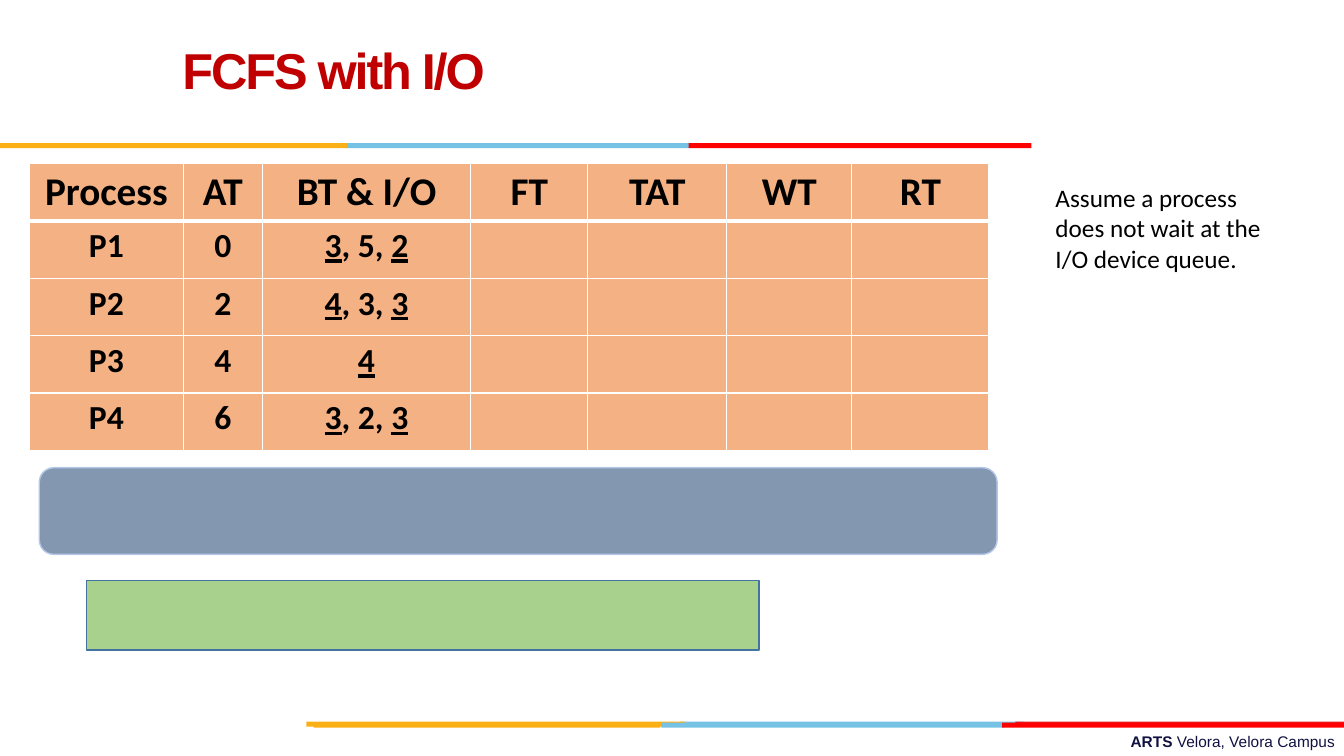
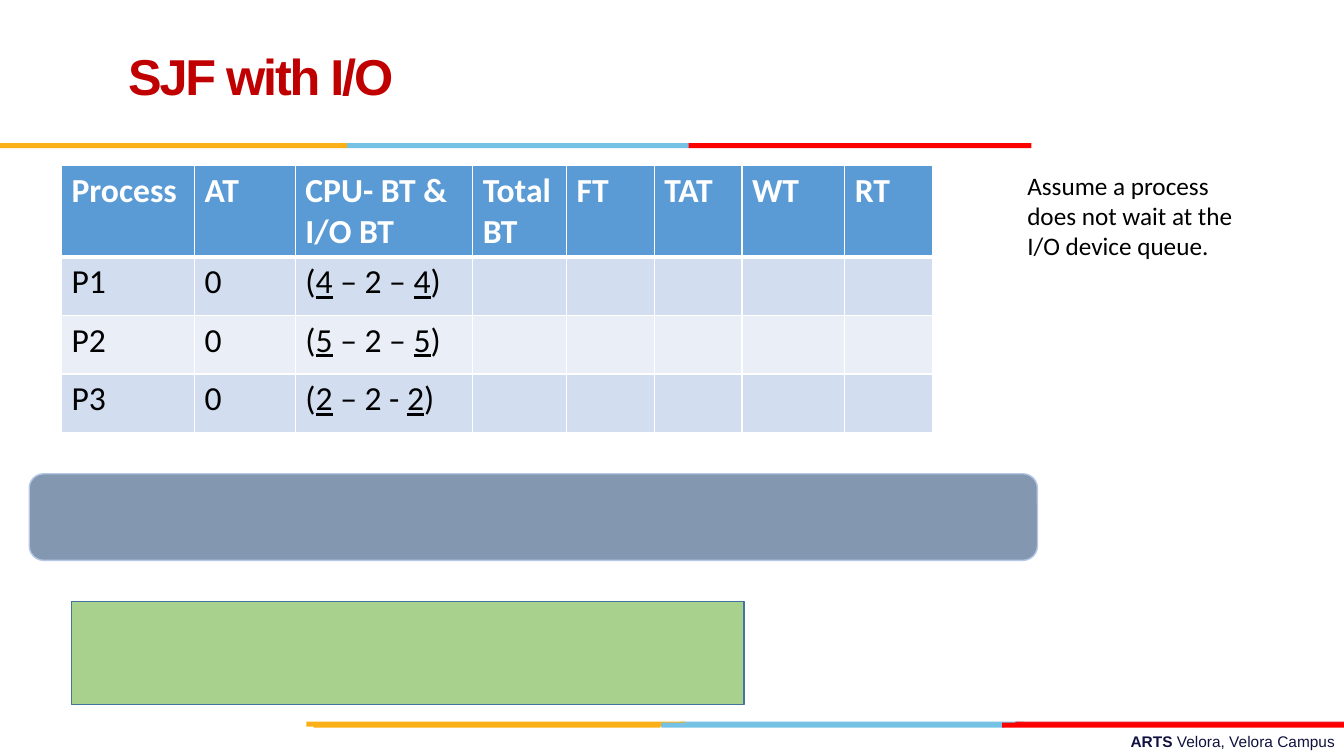
from lxml.etree import SubElement
from pptx import Presentation
from pptx.dml.color import RGBColor
from pptx.enum.shapes import MSO_SHAPE
from pptx.enum.text import MSO_ANCHOR, MSO_AUTO_SIZE, PP_ALIGN
from pptx.oxml.ns import qn
from pptx.util import Inches, Pt

WHITE = RGBColor(0xFF, 0xFF, 0xFF)
BLACK = RGBColor(0x00, 0x00, 0x00)
NAVY = RGBColor(0x10, 0x11, 0x41)
TITLE_RED = RGBColor(0xC0, 0x00, 0x00)
SKY = RGBColor(0x76, 0xC2, 0xE5)
AMBER = RGBColor(0xFC, 0xB0, 0x17)
CRIMSON = RGBColor(0xE3, 0x1C, 0x24)
RED = RGBColor(0xFF, 0x00, 0x00)
PEACH = RGBColor(0xF4, 0xB1, 0x83)
BLUE = RGBColor(0x5B, 0x9B, 0xD5)
PALE_BLUE = RGBColor(0xD2, 0xDE, 0xEF)
PALER_BLUE = RGBColor(0xEA, 0xEF, 0xF7)
GREEN = RGBColor(0xA9, 0xD1, 0x8E)
GREEN_EDGE = RGBColor(0x43, 0x73, 0x9E)
SLATE = RGBColor(0x84, 0x97, 0xB0)
SLATE_EDGE = RGBColor(0xB4, 0xC7, 0xE7)

BAND_HEIGHT = 0.05
BANDS = [  # left, top, width, colour
    (6.75, 7.16, 3.4, SKY), (10.07, 7.16, 3.26, CRIMSON), (3.04, 7.16, 3.76, AMBER),
    (6.56, 7.17, 3.4, SKY), (3.11, 7.17, 3.44, AMBER), (9.94, 7.17, 3.4, RED),
    (3.44, 1.42, 3.4, SKY), (0, 1.42, 3.44, AMBER), (6.83, 1.42, 3.4, RED),
]
FOOTER = [("ARTS ", True), ("Velora, Velora Campus", False)]
NOTE = "Assume a process does not wait at the I/O device queue."

# Underscores in a cell enclose underlined text.
LESSONS = [
    {
        "title": "FCFS with I/O", "title_at": (1.71, 0.27, 6.92, 0.94),
        "table_at": (0.29, 1.62),
        "columns": [1.53, 0.78, 2.07, 1.16, 1.38, 1.24, 1.36],
        "heights": [0.57] * 5,
        "rows": [["Process", "AT", "BT & I/O", "FT", "TAT", "WT", "RT"],
                 ["P1", "0", "_3_, 5, _2_"],
                 ["P2", "2", "_4_, 3, _3_"],
                 ["P3", "4", "_4_"],
                 ["P4", "6", "_3_, 2, _3_"]],
        "align": PP_ALIGN.CENTER, "header_size": 28, "header_colour": BLACK,
        "body_bold": True, "fills": [PEACH] * 5,
        "green_at": (0.86, 5.76, 6.67, 0.69), "slate_at": (0.39, 4.64, 9.5, 0.86),
        "note_at": (10.37, 1.76, 2.48, 1.01),
    },
    {
        "title": "SJF with I/O", "title_at": (1.17, 0.17, 7.75, 1.25),
        "table_at": (0.61, 1.64),
        "columns": [1.32, 1, 1.76, 0.93, 0.87, 0.87, 1.02, 0.87],
        "heights": [0.91, 0.58, 0.58, 0.58],
        "rows": [["Process", "AT", "CPU- BT & I/O BT", "Total BT", "FT", "TAT", "WT", "RT"],
                 ["P1", "0", "(_4_ – 2 – _4_)"],
                 ["P2", "0", "(_5_ – 2 – _5_)"],
                 ["P3", "0", "(_2_ – 2 - _2_)"]],
        "align": PP_ALIGN.LEFT, "header_size": 24, "header_colour": WHITE,
        "body_bold": False, "fills": [BLUE, PALE_BLUE, PALER_BLUE, PALE_BLUE],
        "green_at": (0.71, 5.97, 6.67, 1.02), "slate_at": (0.29, 4.7, 10, 0.86),
        "note_at": (10.09, 1.64, 2.48, 1.01),
    },
]


def add_panel(page, kind, place, fill, edge=None):
    """Add a flat filled shape, with a thin outline if an edge colour is given."""
    panel = page.shapes.add_shape(kind, *map(Inches, place))
    panel.shadow.inherit = False
    panel.fill.solid()
    panel.fill.fore_color.rgb = fill
    if edge is None:
        panel.line.fill.background()
    else:
        panel.line.color.rgb = edge
        panel.line.width = Pt(1)


def add_borders(cell, row_number):
    """Draw white cell borders, thicker below the header row."""
    properties = cell._tc.get_or_add_tcPr()
    top = 3 if row_number == 1 else 1
    bottom = 3 if row_number == 0 else 1
    for side, width in (("L", 1), ("R", 1), ("T", top), ("B", bottom)):
        line = SubElement(properties, qn(f"a:ln{side}"), w=str(Pt(width)))
        fill = SubElement(line, qn("a:solidFill"))
        SubElement(fill, qn("a:srgbClr"), val=str(WHITE))


deck = Presentation()
deck.slide_width = Inches(13.33)
deck.slide_height = Inches(7.5)

for lesson in LESSONS:
    page = deck.slides.add_slide(deck.slide_layouts[5])

    # Footer and bands
    footer = page.shapes.add_textbox(Inches(4.78), Inches(7.21), Inches(8.56), Inches(0.29))
    footer.text_frame.word_wrap = True
    para = footer.text_frame.paragraphs[0]
    para.alignment = PP_ALIGN.RIGHT
    para.font.name = "Arial"
    para.font.size = Pt(11)
    para.font.color.rgb = NAVY
    for words, bold in FOOTER:
        span = para.add_run()
        span.text = words
        span.font.bold = bold
    for left, top, width, colour in BANDS:
        add_panel(page, MSO_SHAPE.RECTANGLE, (left, top, width, BAND_HEIGHT), colour)

    # Title
    title = page.shapes.title
    title.left, title.top, title.width, title.height = map(Inches, lesson["title_at"])
    title.text_frame.text = lesson["title"]
    title.text_frame.auto_size = MSO_AUTO_SIZE.NONE
    title.text_frame.vertical_anchor = MSO_ANCHOR.MIDDLE
    para = title.text_frame.paragraphs[0]
    para.alignment = PP_ALIGN.LEFT
    para.line_spacing = Pt(36)
    para.font.name = "Arial"
    para.font.size = Pt(36)
    para.font.bold = True
    para.font.color.rgb = TITLE_RED
    para.runs[0]._r.get_or_add_rPr().set("spc", "-150")

    # Process table
    columns, heights, rows = lesson["columns"], lesson["heights"], lesson["rows"]
    left, top = lesson["table_at"]
    table = page.shapes.add_table(
        len(rows), len(columns), Inches(left), Inches(top),
        Inches(sum(columns)), Inches(sum(heights))).table
    for column, width in zip(table.columns, columns):
        column.width = Inches(width)
    for row_number, (row, height, texts) in enumerate(zip(table.rows, heights, rows)):
        row.height = Inches(height)
        is_header = row_number == 0
        for cell in row.cells:
            add_borders(cell, row_number)
            cell.fill.solid()
            cell.fill.fore_color.rgb = lesson["fills"][row_number]
        for cell, text in zip(row.cells, texts):
            para = cell.text_frame.paragraphs[0]
            para.alignment = lesson["align"]
            para.font.name = "Calibri"
            para.font.size = Pt(lesson["header_size"] if is_header else 24)
            para.font.bold = is_header or lesson["body_bold"]
            para.font.color.rgb = lesson["header_colour"] if is_header else BLACK
            for part_number, part in enumerate(text.split("_")):
                if part:
                    span = para.add_run()
                    span.text = part
                    span.font.underline = part_number % 2 == 1

    # Answer panels and note
    add_panel(page, MSO_SHAPE.RECTANGLE, lesson["green_at"], GREEN, GREEN_EDGE)
    add_panel(page, MSO_SHAPE.ROUNDED_RECTANGLE, lesson["slate_at"], SLATE, SLATE_EDGE)
    note = page.shapes.add_textbox(*map(Inches, lesson["note_at"]))
    note.text_frame.word_wrap = True
    para = note.text_frame.paragraphs[0]
    para.text = NOTE
    para.font.name = "Calibri"
    para.font.size = Pt(18)
    para.font.color.rgb = BLACK

deck.save("out.pptx")
